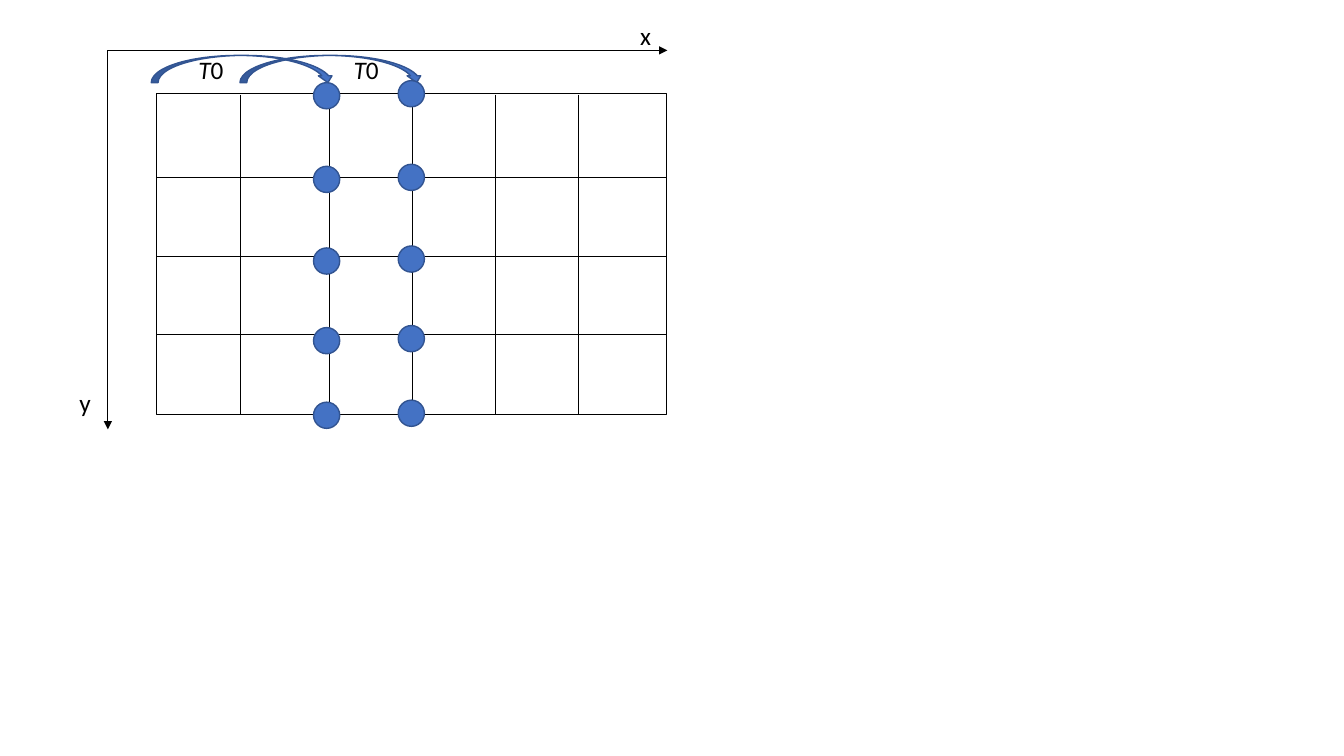
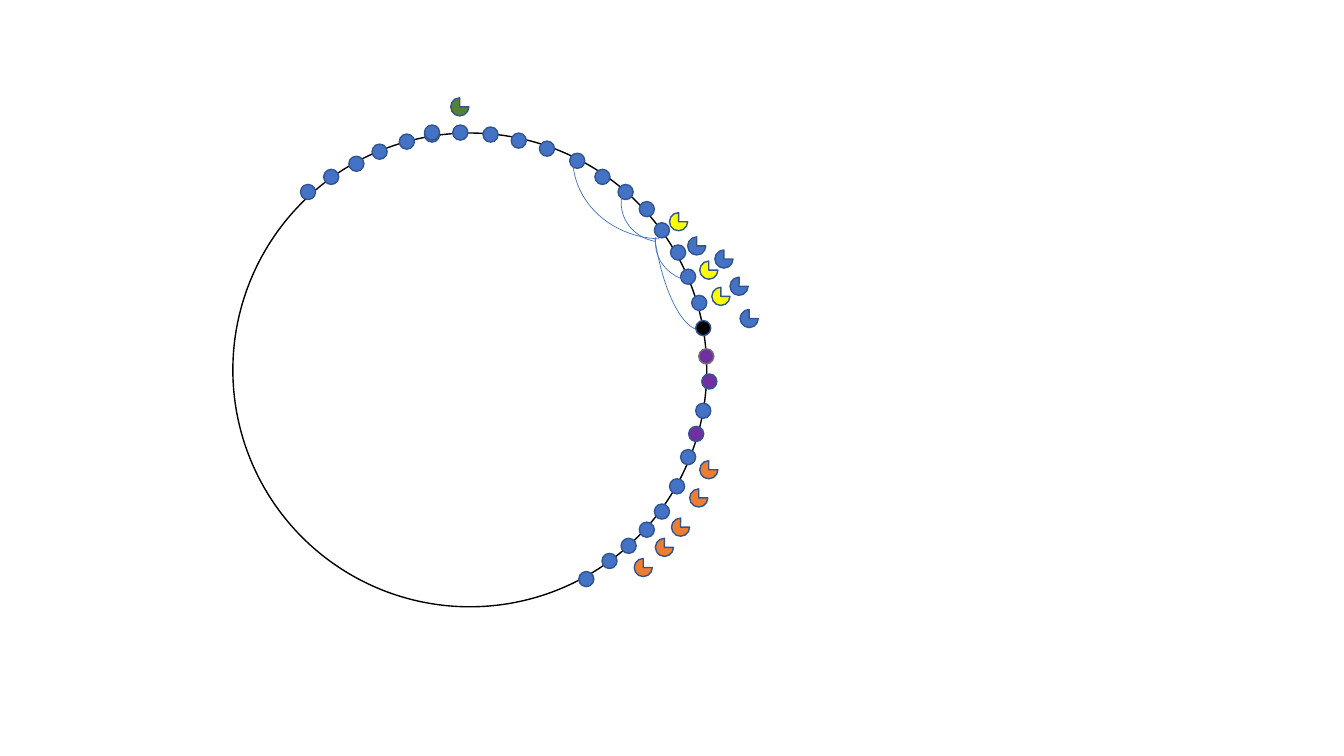
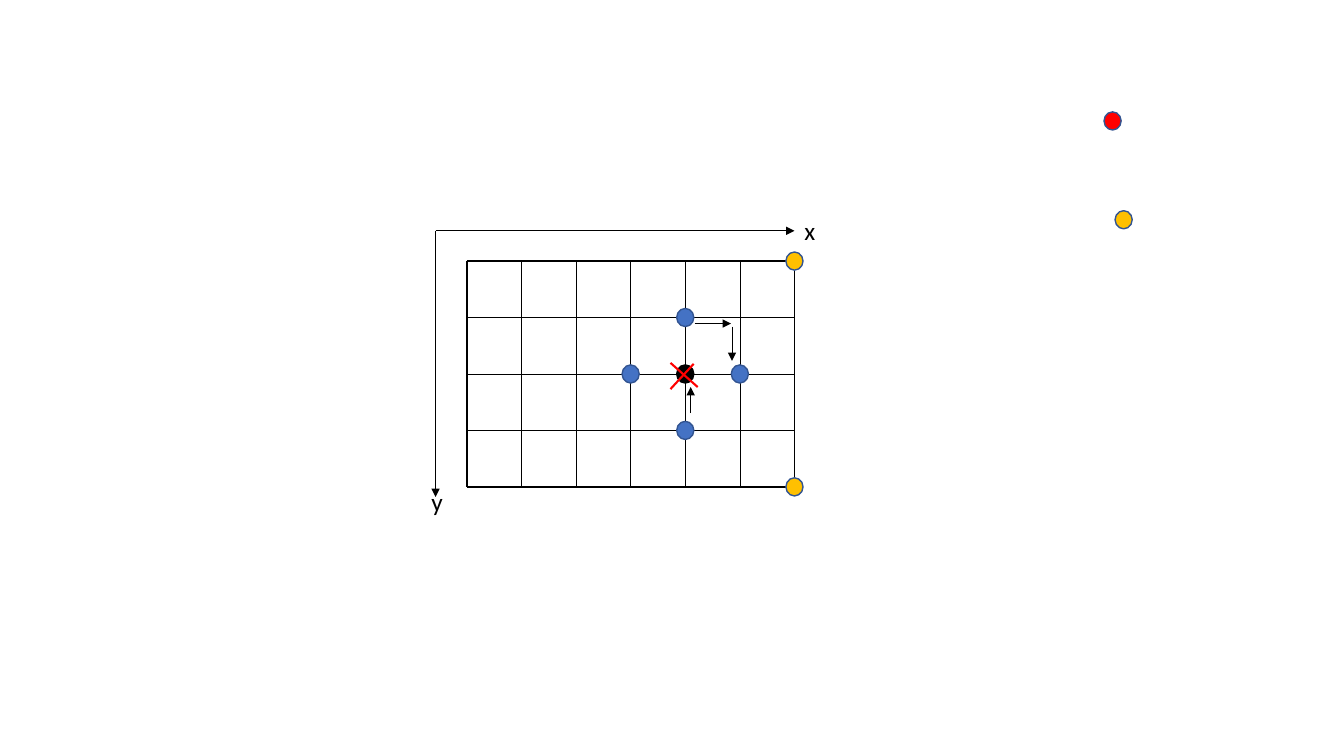
from lxml.etree import SubElement
from pptx import Presentation
from pptx.dml.color import RGBColor
from pptx.enum.shapes import MSO_CONNECTOR, MSO_SHAPE as SHAPE
from pptx.enum.text import MSO_AUTO_SIZE
from pptx.oxml.ns import qn
from pptx.util import Inches, Pt

FONT = "Calibri"
BLACK, WHITE, RED = "000000", "FFFFFF", "FF0000"
BLUE, OUTLINE, GRAY = "4472C4", "325491", "767171"
GREEN, YELLOW, ORANGE, PURPLE, GOLD = "548235", "FFFF00", "ED7D31", "7030A0", "FFC000"
THIN, MEDIUM, THICK = 0.5, 1, 1.5

SCAN_FRAME = (1.55, 0.93, 5.06, 3.18)
SCAN_ROWS = [1.76, 2.54, 3.32]
SCAN_COLUMNS = [2.38, 3.27, 4.09, 4.91, 5.74]
SCAN_AXES = [(1.07, 0.5, 1.07, 4.26), (1.07, 0.5, 6.62, 0.5)]
SCAN_LABELS = [("x", (6.25, 0.15, 0.36, 0.4)), ("y", (0.69, 3.79, 0.36, 0.4))]
SHIFT_ARROWS = [2.38, 1.5]
SHIFT_LABELS = [1.87, 3.41]
SCAN_DOT = 0.26
SCAN_DOT_TOPS = [0.82, 1.65, 2.46, 3.25, 3.99]
SCAN_DOT_COLUMNS = [(3.11, 0), (3.95, -0.02)]

RING = (2.31, 1.32, 4.7, 4.7)
RING_DOT, PIE = 0.15, 0.18
UPPER_DOTS = [
    (2.98, 1.83), (3.21, 1.68), (3.46, 1.55), (3.69, 1.43), (3.96, 1.33),
    (4.21, 1.26), (4.21, 1.24), (4.49, 1.24), (4.79, 1.26), (5.07, 1.32),
    (5.35, 1.4), (5.65, 1.52), (5.9, 1.68), (6.13, 1.83), (6.34, 2),
    (6.49, 2.21), (6.65, 2.43), (6.75, 2.67),
]
LOWER_DOTS = [
    (6.86, 2.93, BLUE, OUTLINE), (6.9, 3.18, BLACK, OUTLINE),
    (6.93, 3.46, PURPLE, GRAY), (6.96, 3.71, PURPLE, OUTLINE),
    (6.9, 4, BLUE, OUTLINE), (6.83, 4.23, PURPLE, OUTLINE),
    (6.75, 4.46, BLUE, OUTLINE), (6.64, 4.75, BLUE, OUTLINE),
    (6.49, 5, BLUE, OUTLINE), (6.34, 5.18, BLUE, OUTLINE),
    (6.16, 5.34, BLUE, OUTLINE), (5.97, 5.49, BLUE, OUTLINE),
    (5.74, 5.67, BLUE, OUTLINE),
]
PIES = {
    BLUE: [(7.34, 3.07), (6.82, 2.35), (7.09, 2.48), (7.24, 2.75)],
    GREEN: [(4.47, 0.97)],
    YELLOW: [(6.64, 2.11), (6.94, 2.59), (7.06, 2.85)],
    ORANGE: [(6.66, 5.14), (6.5, 5.34), (6.29, 5.54), (6.84, 4.85), (6.94, 4.57)],
}
ARCS = [
    ((6.5, 2.04, 0.8, 0.75), 188.9, 159.69),
    ((6.16, 1.65, 0.8, 0.75), 192.8, 159.69),
    ((6.49, 1.35, 0.65, 1.93), 171.6, 163.29),
    ((5.68, 0.77, 1.78, 1.6), 180, 163.29),
]

GRID_LEFT, GRID_TOP, GRID_WIDTH, GRID_HEIGHT = 4.63, 2.59, 3.25, 2.24
GRID_COLUMNS, GRID_ROWS = 6, 4
NODE_WIDTH, NODE_HEIGHT = 0.17, 0.18
NODES = [
    (3, 2, BLUE, OUTLINE), (6, 0, GOLD, OUTLINE), (4, 3, BLUE, OUTLINE),
    (4, 1, BLUE, OUTLINE), (6, 4, GOLD, OUTLINE), (4, 2, BLACK, BLACK),
    (5, 2, BLUE, OUTLINE),
]
LOOSE_NODES = [(10.95, 1.11, RED), (11.06, 2.09, GOLD)]
GRID_AXES = [(4.32, 2.29, 4.32, 4.93), (4.32, 2.29, 7.88, 2.29)]
GRID_LABELS = [("y", (4.18, 4.78, 0.23, 0.28)), ("x", (7.88, 2.09, 0.36, 0.4))]
MOVES = [(6.89, 3.21, 7.25, 3.21), (7.26, 3.24, 7.26, 3.58), (6.85, 4.1, 6.85, 3.84)]
CROSS = [(6.65, 3.86, 6.88, 3.61), (6.92, 3.84, 6.65, 3.6)]


def color(value):
    return RGBColor.from_string(value)


def add_shape(shapes, kind, box, fill=BLUE, line=OUTLINE, width=MEDIUM):
    shape = shapes.add_shape(kind, *map(Inches, box))
    shape.shadow.inherit = False
    if fill:
        shape.fill.solid()
        shape.fill.fore_color.rgb = color(fill)
    else:
        shape.fill.background()
    shape.line.color.rgb = color(line)
    shape.line.width = Pt(width)
    return shape


def add_line(shapes, ends, line=BLACK, width=THIN, arrow=False):
    connector = shapes.add_connector(MSO_CONNECTOR.STRAIGHT, *map(Inches, ends))
    connector.line.color.rgb = color(line)
    connector.line.width = Pt(width)
    if arrow:
        SubElement(connector.line._get_or_add_ln(), qn("a:tailEnd"), type="triangle")
    SubElement(connector._element.spPr, qn("a:effectLst"))


def add_text(shapes, text, box, size=18, fill=BLACK, italic_letters=0):
    frame = shapes.add_textbox(*map(Inches, box)).text_frame
    frame.word_wrap = True
    frame.auto_size = MSO_AUTO_SIZE.SHAPE_TO_FIT_TEXT
    parts = [(text[:italic_letters], True), (text[italic_letters:], False)]
    for part, italic in parts:
        if part:
            run = frame.paragraphs[0].add_run()
            run.text = part
            run.font.name = FONT
            run.font.size = Pt(size)
            run.font.italic = italic
            run.font.color.rgb = color(fill)


def add_axes(shapes, axes, labels):
    for ends in axes:
        add_line(shapes, ends, arrow=True)
    for text, box in labels:
        add_text(shapes, text, box)


def build_scan(shapes):
    left, top, width, height = SCAN_FRAME
    add_shape(shapes, SHAPE.RECTANGLE, SCAN_FRAME, WHITE, BLACK)
    for y in SCAN_ROWS:
        add_line(shapes, (left, y, left + width, y))
    for x in SCAN_COLUMNS:
        add_line(shapes, (x, top + 0.01, x, top + height + 0.01))
    add_axes(shapes, SCAN_AXES, SCAN_LABELS)
    for x in SHIFT_ARROWS:
        add_shape(shapes, SHAPE.CURVED_DOWN_ARROW, (x, 0.55, 1.82, 0.27))
    for x, offset in SCAN_DOT_COLUMNS:
        column = shapes.add_group_shape().shapes
        for y in SCAN_DOT_TOPS:
            add_shape(column, SHAPE.OVAL, (x, y + offset, SCAN_DOT, SCAN_DOT))
    for x in SHIFT_LABELS:
        add_text(shapes, "T0", (x, 0.49, 0.67, 0.4), italic_letters=1)


def build_ring(shapes):
    add_shape(shapes, SHAPE.OVAL, RING, WHITE, BLACK)
    for x, y in UPPER_DOTS:
        add_shape(shapes, SHAPE.OVAL, (x, y, RING_DOT, RING_DOT))
    for fill, places in PIES.items():
        for x, y in places:
            add_shape(shapes, SHAPE.PIE, (x, y, PIE, PIE), fill)
    for box, rotation, start in ARCS:
        arc = add_shape(shapes, SHAPE.ARC, box, None, BLUE, THIN)
        arc.rotation = rotation
        arc.adjustments[0] = start
    for x, y, fill, line in LOWER_DOTS:
        add_shape(shapes, SHAPE.OVAL, (x, y, RING_DOT, RING_DOT), fill, line)


def build_grid(shapes):
    right, bottom = GRID_LEFT + GRID_WIDTH, GRID_TOP + GRID_HEIGHT
    xs = [GRID_LEFT + GRID_WIDTH * i / GRID_COLUMNS for i in range(GRID_COLUMNS + 1)]
    ys = [GRID_TOP + GRID_HEIGHT * i / GRID_ROWS for i in range(GRID_ROWS + 1)]
    for i, x in enumerate(xs):
        width = MEDIUM if i in (0, GRID_COLUMNS) else THIN
        add_line(shapes, (x, GRID_TOP, x, bottom), width=width)
    for i, y in enumerate(ys):
        width = MEDIUM if i in (0, GRID_ROWS) else THIN
        add_line(shapes, (GRID_LEFT, y, right, y), width=width)
    for column, row, fill, line in NODES:
        x, y = xs[column] - NODE_WIDTH / 2, ys[row] - NODE_HEIGHT / 2
        add_shape(shapes, SHAPE.OVAL, (x, y, NODE_WIDTH, NODE_HEIGHT), fill, line)
    for x, y, fill in LOOSE_NODES:
        add_shape(shapes, SHAPE.OVAL, (x, y, NODE_WIDTH, NODE_HEIGHT), fill)
    add_axes(shapes, GRID_AXES, GRID_LABELS)
    for ends in MOVES:
        add_line(shapes, ends, arrow=True)
    cross = shapes.add_group_shape().shapes
    for ends in CROSS:
        add_line(cross, ends, RED, THICK)


def main():
    presentation = Presentation()
    presentation.slide_width, presentation.slide_height = Inches(13.33), Inches(7.5)
    for build in (build_scan, build_ring, build_grid):
        slide = presentation.slides.add_slide(presentation.slide_layouts[6])
        build(slide.shapes)
    presentation.save("out.pptx")


if __name__ == "__main__":
    main()
